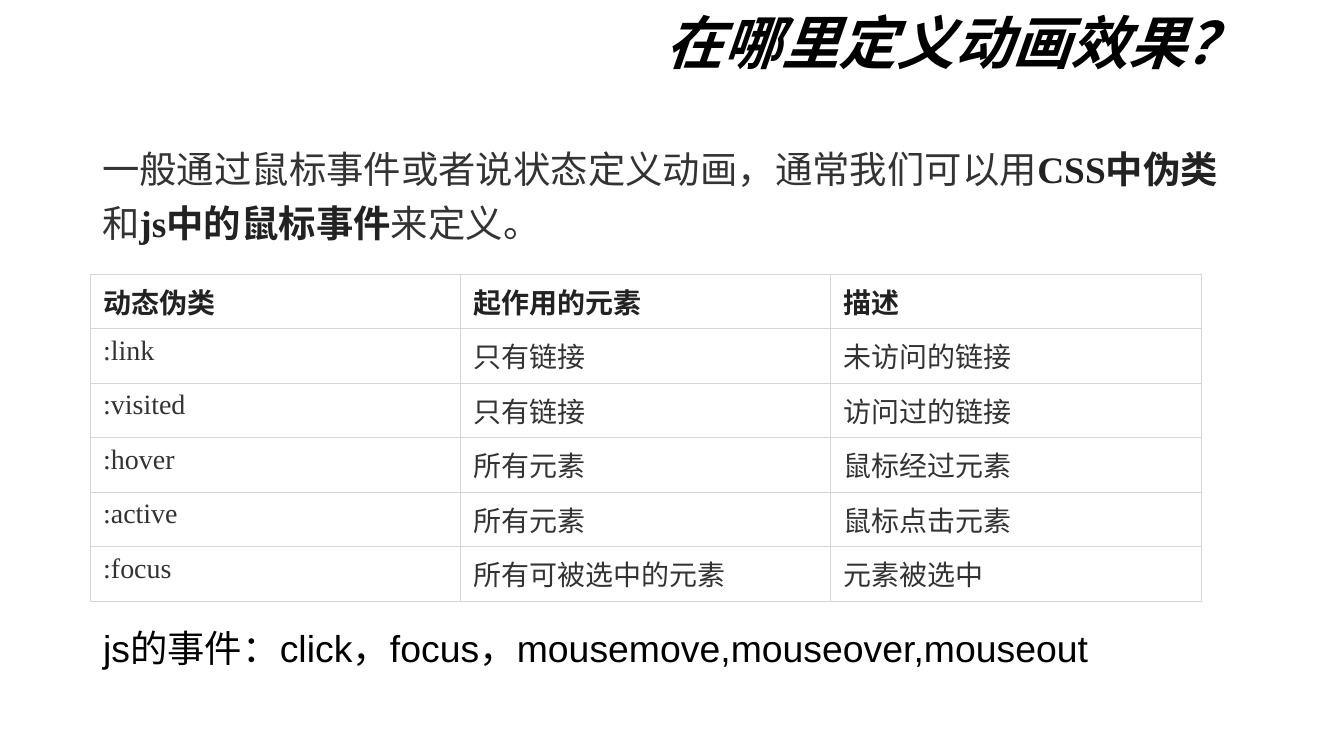
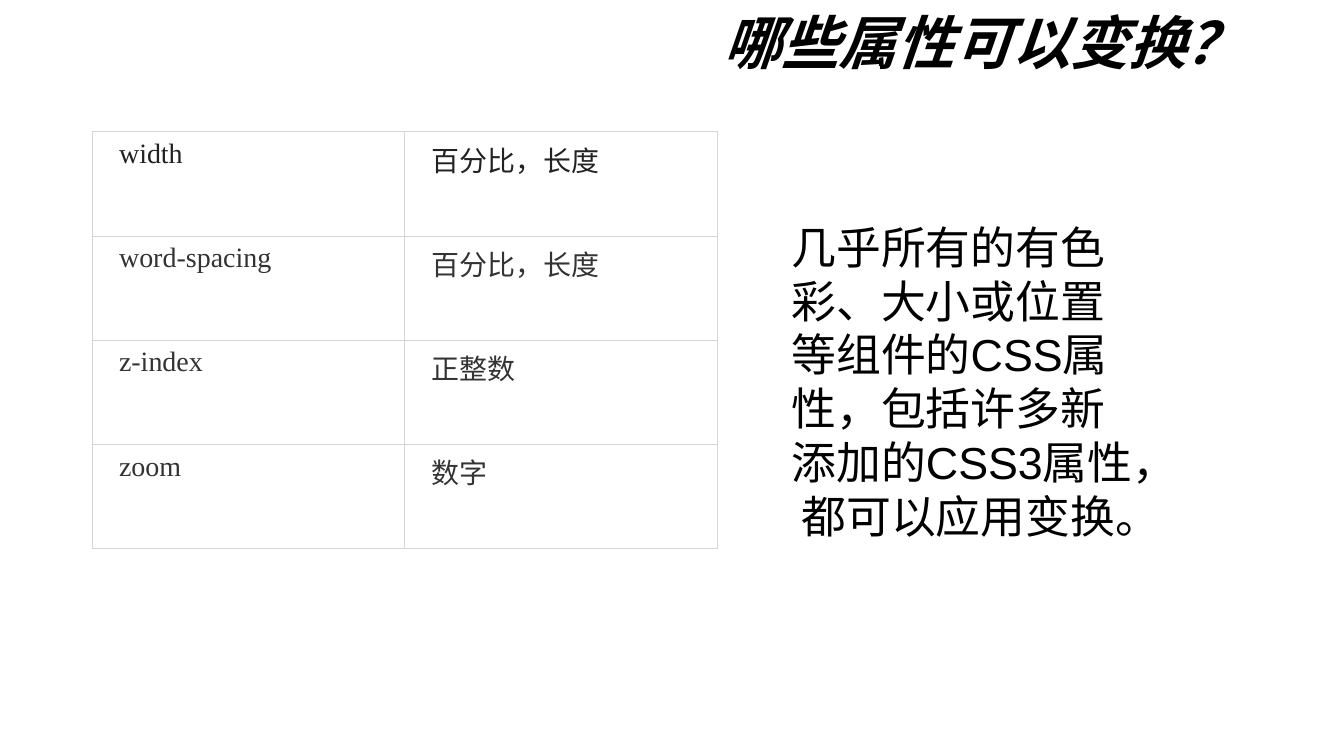
from dataclasses import dataclass

from lxml import etree
from pptx import Presentation
from pptx.dml.color import RGBColor
from pptx.enum.lang import MSO_LANGUAGE_ID
from pptx.enum.text import MSO_ANCHOR, MSO_AUTO_SIZE, PP_ALIGN
from pptx.oxml.ns import qn
from pptx.slide import Slide
from pptx.text.text import _Paragraph, _Run
from pptx.util import Cm, Pt

CHINESE = MSO_LANGUAGE_ID.SIMPLIFIED_CHINESE
TOP, MIDDLE = MSO_ANCHOR.TOP, MSO_ANCHOR.MIDDLE
LEFT, RIGHT = PP_ALIGN.LEFT, PP_ALIGN.RIGHT
FIXED, GROW = MSO_AUTO_SIZE.NONE, MSO_AUTO_SIZE.SHAPE_TO_FIT_TEXT


@dataclass(frozen=True)
class Theme:
    background: str = "FFFFFF"
    black: str = "000000"
    strong: str = "222222"
    body: str = "333333"
    border: str = "D6D6D6"
    border_width: float = 0.45
    chinese_font: str = "Noto Sans CJK JP"
    serif_font: str = "Times New Roman"
    sans_font: str = "Arial"
    title_size: int = 31
    large_size: int = 24
    body_size: int = 20
    cell_size: int = 15


THEME = Theme()


@dataclass(frozen=True)
class Style:
    font: str
    size: int
    color: str
    bold: bool = False
    italic: bool = False


TITLE = Style(THEME.chinese_font, THEME.title_size, THEME.black, True, True)
INTRO = Style(THEME.serif_font, THEME.body_size, THEME.body)
INTRO_STRONG = Style(THEME.serif_font, THEME.body_size, THEME.strong, True)
EVENTS = Style(THEME.sans_font, THEME.body_size, THEME.black)
SUMMARY = Style(THEME.sans_font, THEME.large_size, THEME.black)
CELL = Style(THEME.serif_font, THEME.cell_size, THEME.body)
CELL_STRONG = Style(THEME.serif_font, THEME.cell_size, THEME.strong)
CELL_HEADER = Style(THEME.serif_font, THEME.cell_size, THEME.strong, True)


@dataclass(frozen=True)
class Box:
    left: float
    top: float
    width: float
    height: float
    inset_x: float = 0.25
    inset_y: float = 0.13
    anchor: MSO_ANCHOR = MIDDLE
    align: PP_ALIGN = LEFT
    auto_size: MSO_AUTO_SIZE = GROW
    line_spacing: float = 1.0


@dataclass(frozen=True)
class Grid:
    left: float
    top: float
    column_width: float
    row_height: float
    inset_x: float
    first_row: Style
    rows: tuple[tuple[str, ...], ...]
    hanging: float = 0.0


TITLE_BOX = Box(3.51, 0, 20.17, 1.75, 0.18, 0.1, MIDDLE, RIGHT, FIXED, 0.9)
INTRO_BOX = Box(1.75, 2.49, 21.92, 2.24, 0.18, 0.1, TOP, LEFT, FIXED, 1.2)
EVENTS_BOX = Box(1.7, 11.68, 20.8, 1.12)
SUMMARY_BOX = Box(14.71, 3.51, 7.21, 7.37)

PSEUDO_CLASSES = Grid(1.7, 5.18, 7.0, 1.03, 0.25, CELL_HEADER, (
    ("动态伪类", "起作用的元素", "描述"),
    (":link", "只有链接", "未访问的链接"),
    (":visited", "只有链接", "访问过的链接"),
    (":hover", "所有元素", "鼠标经过元素"),
    (":active", "所有元素", "鼠标点击元素"),
    (":focus", "所有可被选中的元素", "元素被选中"),
))
PROPERTIES = Grid(1.75, 2.49, 5.9, 1.97, 0.5, CELL_STRONG, (
    ("width", "百分比，长度"),
    ("word-spacing", "百分比，长度"),
    ("z-index", "正整数"),
    ("zoom", "数字"),
), hanging=0.97)


def format_run(run: _Run, style: Style) -> None:
    font = run.font
    font.name = style.font
    font.size = Pt(style.size)
    font.bold = style.bold
    font.italic = style.italic
    font.color.rgb = RGBColor.from_string(style.color)
    font.language_id = CHINESE
    east_asian = etree.Element(qn("a:ea"), typeface=THEME.chinese_font)
    run._r.rPr.find(qn("a:latin")).addnext(east_asian)


def add_run(paragraph: _Paragraph, text: str, style: Style) -> None:
    run = paragraph.add_run()
    run.text = text
    format_run(run, style)


def add_text(slide: Slide, box: Box, *pieces: tuple[str, Style]) -> None:
    shape = slide.shapes.add_textbox(
        Cm(box.left), Cm(box.top), Cm(box.width), Cm(box.height))
    frame = shape.text_frame
    frame.word_wrap = True
    frame.auto_size = box.auto_size
    frame.vertical_anchor = box.anchor
    frame.margin_left = frame.margin_right = Cm(box.inset_x)
    frame.margin_top = frame.margin_bottom = Cm(box.inset_y)
    paragraph = frame.paragraphs[0]
    paragraph.alignment = box.align
    paragraph.line_spacing = box.line_spacing
    for text, style in pieces:
        add_run(paragraph, text, style)


def add_borders(cell) -> None:
    properties = cell._tc.get_or_add_tcPr()
    for side in ("lnL", "lnR", "lnT", "lnB"):
        line = etree.SubElement(
            properties, qn(f"a:{side}"), w=str(Pt(THEME.border_width)))
        fill = etree.SubElement(line, qn("a:solidFill"))
        etree.SubElement(fill, qn("a:srgbClr"), val=THEME.border)


def add_grid(slide: Slide, grid: Grid) -> None:
    row_count, column_count = len(grid.rows), len(grid.rows[0])
    table = slide.shapes.add_table(
        row_count, column_count, Cm(grid.left), Cm(grid.top),
        Cm(grid.column_width * column_count),
        Cm(grid.row_height * row_count)).table
    table.first_row = table.horz_banding = False
    for column in table.columns:
        column.width = Cm(grid.column_width)
    for row_index, texts in enumerate(grid.rows):
        table.rows[row_index].height = Cm(grid.row_height)
        style = CELL if row_index else grid.first_row
        for column_index, text in enumerate(texts):
            cell = table.cell(row_index, column_index)
            cell.margin_left = cell.margin_right = Cm(grid.inset_x)
            cell.margin_top = cell.margin_bottom = Cm(0.13)
            add_borders(cell)
            cell.fill.background()
            paragraph = cell.text_frame.paragraphs[0]
            if grid.hanging:
                indent = Cm(grid.hanging)
                properties = paragraph._p.get_or_add_pPr()
                properties.set("marL", str(indent))
                properties.set("indent", str(-indent))
            add_run(paragraph, text, style)


def add_slide(presentation: Presentation, title: str) -> Slide:
    slide = presentation.slides.add_slide(presentation.slide_layouts[6])
    fill = slide.background.fill
    fill.solid()
    fill.fore_color.rgb = RGBColor.from_string(THEME.background)
    add_text(slide, TITLE_BOX, (title, TITLE))
    return slide


def main() -> None:
    presentation = Presentation()
    presentation.slide_width = Cm(25.4)
    presentation.slide_height = Cm(14.29)

    slide = add_slide(presentation, "在哪里定义动画效果？")
    add_grid(slide, PSEUDO_CLASSES)
    add_text(slide, EVENTS_BOX, (
        "js的事件：click，focus，mousemove,mouseover,mouseout", EVENTS))
    add_text(
        slide, INTRO_BOX,
        ("一般通过鼠标事件或者说状态定义动画，通常我们可以用", INTRO),
        ("CSS中伪类", INTRO_STRONG),
        ("和", INTRO),
        ("js中的鼠标事件", INTRO_STRONG),
        ("来定义。", INTRO))

    slide = add_slide(presentation, "哪些属性可以变换？")
    add_grid(slide, PROPERTIES)
    add_text(slide, SUMMARY_BOX, (
        "几乎所有的有色彩、大小或位置等组件的CSS属性，"
        "包括许多新添加的CSS3属性， 都可以应用变换。", SUMMARY))

    presentation.save("out.pptx")


if __name__ == "__main__":
    main()
